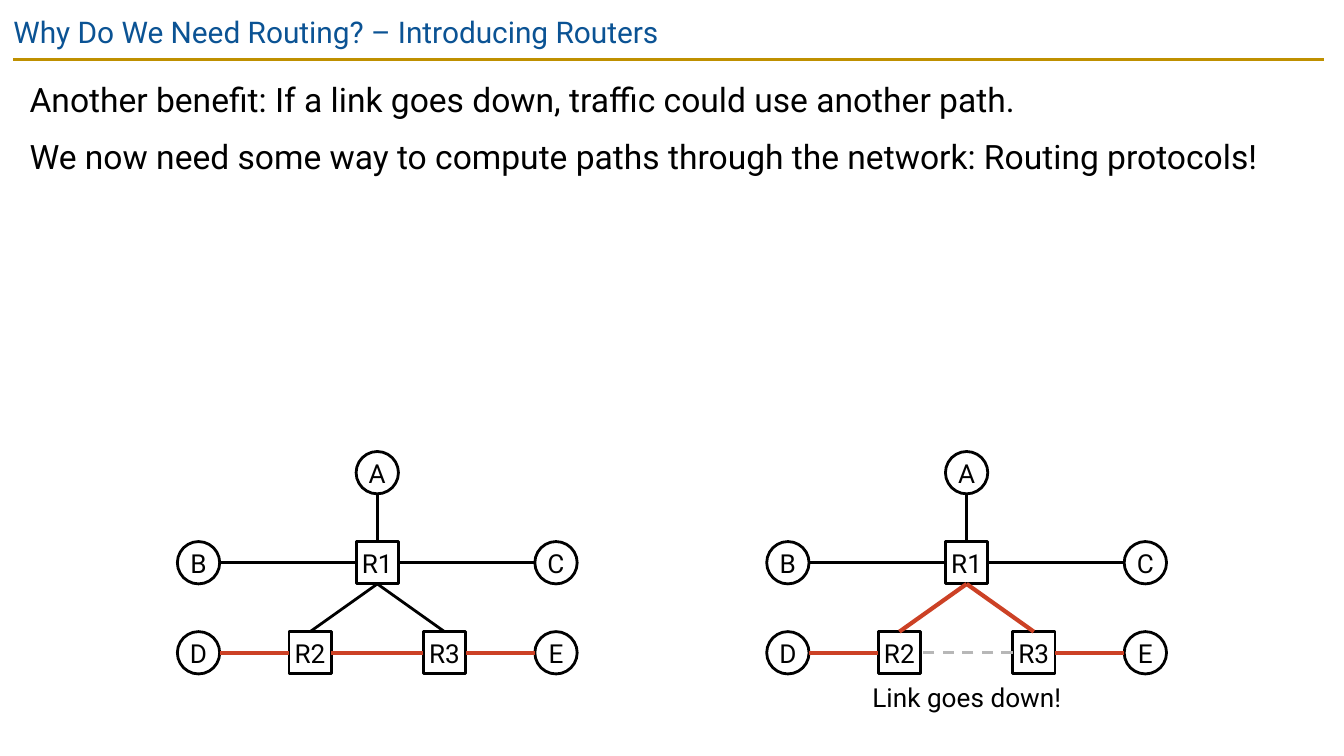
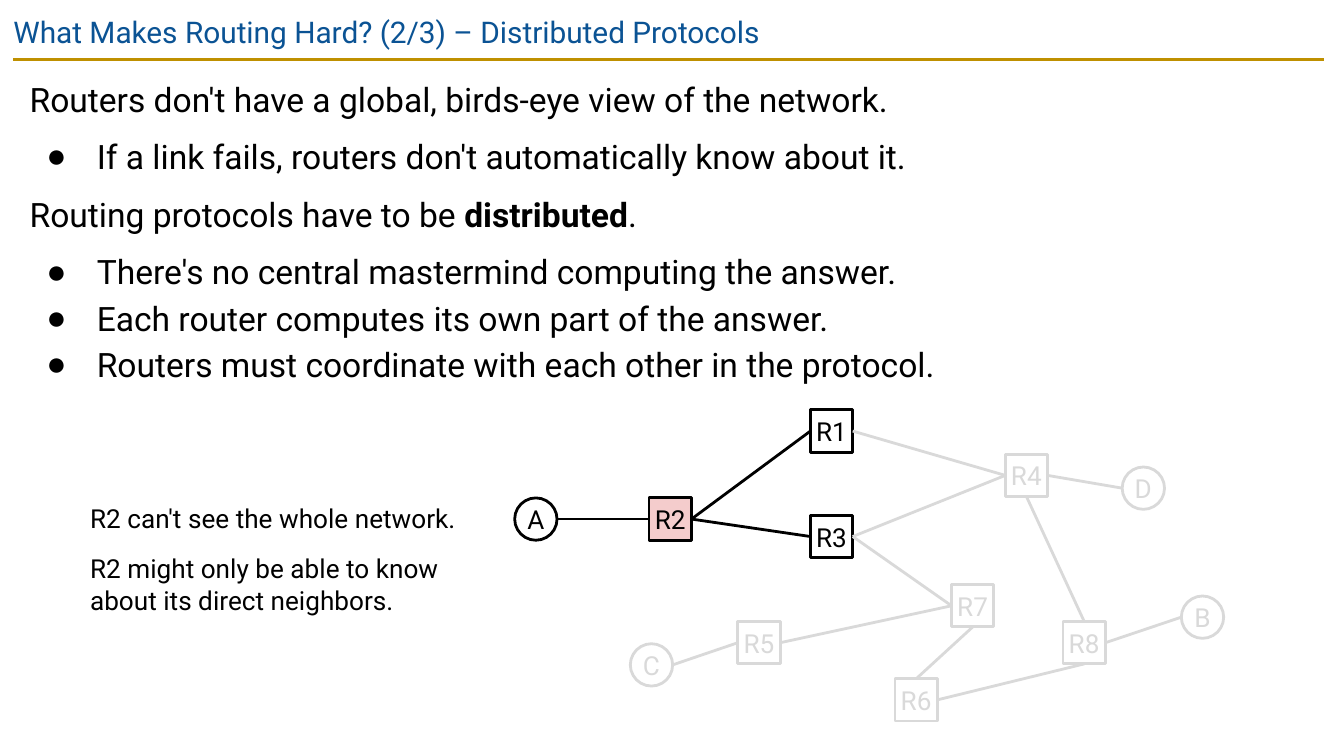
"""Build two slides on routing with network diagrams."""
from typing import NamedTuple

from lxml import etree
from pptx import Presentation
from pptx.dml.color import RGBColor
from pptx.enum.dml import MSO_LINE
from pptx.enum.shapes import MSO_CONNECTOR, MSO_SHAPE
from pptx.enum.text import MSO_ANCHOR, MSO_AUTO_SIZE, PP_ALIGN
from pptx.oxml.ns import qn
from pptx.util import Emu, Pt

STRAIGHT = MSO_CONNECTOR.STRAIGHT
CIRCLE, SQUARE = MSO_SHAPE.OVAL, MSO_SHAPE.RECTANGLE
ALIGN_LEFT, ALIGN_CENTER = PP_ALIGN.LEFT, PP_ALIGN.CENTER
ANCHOR_TOP, ANCHOR_MIDDLE = MSO_ANCHOR.TOP, MSO_ANCHOR.MIDDLE
NO_FIT, GROW = MSO_AUTO_SIZE.NONE, MSO_AUTO_SIZE.SHAPE_TO_FIT_TEXT
DASH = MSO_LINE.DASH

SCALE = 4572
FONT = "Roboto"
COLORS = {
    "black": "000000", "white": "FFFFFF", "title": "0B5394", "rule": "BF9000",
    "route": "CC4125", "down": "B7B7B7", "hidden": "D9D9D9", "focus": "F4CCCC",
}
NODE_SIZE = 63
TOP, LEFT, BOTTOM, RIGHT = range(4)
SIDES = {TOP: (0.5, 0), LEFT: (0, 0.5), BOTTOM: (0.5, 1), RIGHT: (1, 0.5)}


class Span(NamedTuple):
    text: str
    bold: bool = False


class Item(NamedTuple):
    spans: list[Span]
    bullet: bool = False
    before: int = 6


class Stroke(NamedTuple):
    color: str
    width: float = 1.5
    dash: bool = False


class Node(NamedTuple):
    name: str
    left: int
    top: int
    color: str = "black"
    fill: str = "white"

    @property
    def is_router(self) -> bool:
        return self.name.startswith("R")

    def side(self, side: int) -> tuple[float, float]:
        across, down = SIDES[side]
        return self.left + across * NODE_SIZE, self.top + down * NODE_SIZE


class Link(NamedTuple):
    start: str
    start_side: int
    end: str
    end_side: int
    role: str = "access"


PLAIN, ROUTE = Stroke("black"), Stroke("route", 2.25)
HIDDEN, BROKEN = Stroke("hidden"), Stroke("down", dash=True)

ROUTER_LINKS = [
    Link("R2", TOP, "R1", BOTTOM, "detour"),
    Link("R3", TOP, "R1", BOTTOM, "detour"),
    Link("R3", LEFT, "R2", RIGHT, "direct"),
    Link("A", BOTTOM, "R1", TOP),
    Link("C", LEFT, "R1", RIGHT),
    Link("R1", LEFT, "B", RIGHT),
    Link("E", LEFT, "R3", RIGHT, "ends"),
    Link("R2", LEFT, "D", RIGHT, "ends"),
]
ROUTES_BY_LEFT = {
    530: {"access": PLAIN, "detour": PLAIN, "direct": ROUTE, "ends": ROUTE},
    1407: {"access": PLAIN, "detour": ROUTE, "direct": BROKEN, "ends": ROUTE},
}

KNOWN_NODES = [
    Node("A", 766, 741),
    Node("R1", 1206, 610),
    Node("R2", 966, 741, fill="focus"),
    Node("R3", 1206, 767),
]
HIDDEN_NODES = [
    Node(name, left, top, "hidden")
    for name, left, top in [
        ("R4", 1496, 676), ("R5", 1098, 925), ("R6", 1332, 1010), ("R7", 1416, 870),
        ("R8", 1582, 925), ("B", 1758, 887), ("C", 938, 958), ("D", 1670, 695),
    ]
]
VIEW_LINKS = [
    Link("R1", RIGHT, "R4", LEFT, "hidden"),
    Link("R3", RIGHT, "R4", LEFT, "hidden"),
    Link("R3", RIGHT, "R7", LEFT, "hidden"),
    Link("R5", RIGHT, "R7", LEFT, "hidden"),
    Link("C", RIGHT, "R5", LEFT, "hidden"),
    Link("R7", BOTTOM, "R6", TOP, "hidden"),
    Link("R8", BOTTOM, "R6", RIGHT, "hidden"),
    Link("R4", BOTTOM, "R8", TOP, "hidden"),
    Link("B", LEFT, "R8", RIGHT, "hidden"),
    Link("D", LEFT, "R4", RIGHT, "hidden"),
    Link("A", RIGHT, "R2", LEFT),
    Link("R2", RIGHT, "R1", LEFT),
    Link("R2", RIGHT, "R3", LEFT),
]


def px(length: float) -> Emu:
    """Turn px into EMU."""
    return Emu(round(length * SCALE))


def rgb(name: str) -> RGBColor:
    """Look up a named colour."""
    return RGBColor.from_string(COLORS[name])


def set_font(para, size: int, color: str = "black") -> None:
    """Set the font of a whole paragraph."""
    para.font.name = FONT
    para.font.size = Pt(size)
    para.font.color.rgb = rgb(color)


def set_insets(frame, inset: int) -> None:
    """Set all four insets of a text frame."""
    frame.margin_left = frame.margin_right = px(inset)
    frame.margin_top = frame.margin_bottom = px(inset)


def place(shape, left: int, top: int, width: int, height: int) -> None:
    """Move and size a placeholder and fix its text frame."""
    shape.left, shape.top = px(left), px(top)
    shape.width, shape.height = px(width), px(height)
    frame = shape.text_frame
    set_insets(frame, 20)
    frame.vertical_anchor = ANCHOR_TOP
    frame.auto_size = NO_FIT


def set_bullet(para, bullet: bool) -> None:
    """Give a paragraph its indent and its bullet, or none."""
    props = para._p.get_or_add_pPr()
    props.set("marL", str(px(100 if bullet else 0)))
    props.set("indent", str(px(-75 if bullet else 0)))
    if bullet:
        color = etree.SubElement(props, qn("a:buClr"))
        etree.SubElement(color, qn("a:srgbClr"), val=COLORS["black"])
        etree.SubElement(props, qn("a:buChar"), char="●")
    else:
        etree.SubElement(props, qn("a:buNone"))


def add_line(page, start: tuple[float, float], end: tuple[float, float], stroke: Stroke):
    """Draw a straight line without shadow."""
    line = page.shapes.add_connector(STRAIGHT, *map(px, start + end))
    line.line.color.rgb = rgb(stroke.color)
    line.line.width = Pt(stroke.width)
    if stroke.dash:
        line.line.dash_style = DASH
    etree.SubElement(line._element.spPr, qn("a:effectLst"))
    return line


def add_node(page, node: Node):
    """Draw a router as a square or a host as a circle."""
    kind = SQUARE if node.is_router else CIRCLE
    shape = page.shapes.add_shape(
        kind, px(node.left), px(node.top), px(NODE_SIZE), px(NODE_SIZE))
    shape.shadow.inherit = False
    shape.fill.solid()
    shape.fill.fore_color.rgb = rgb(node.fill)
    shape.line.color.rgb = rgb(node.color)
    shape.line.width = Pt(1.5)
    frame = shape.text_frame
    set_insets(frame, 0)
    frame.vertical_anchor = ANCHOR_MIDDLE
    para = frame.paragraphs[0]
    para.text = node.name
    para.alignment = ALIGN_CENTER
    set_font(para, 14, node.color)
    return shape


def add_network(page, nodes: list[Node], links: list[Link], strokes: dict[str, Stroke]) -> None:
    """Draw nodes and join them with links."""
    by_name = {node.name: node for node in nodes}
    shapes = {node.name: add_node(page, node) for node in nodes}
    for link in links:
        start, end = by_name[link.start], by_name[link.end]
        line = add_line(page, start.side(link.start_side), end.side(link.end_side),
                        strokes[link.role])
        if start.is_router:
            line.begin_connect(shapes[link.start], link.start_side)
        if end.is_router:
            line.end_connect(shapes[link.end], link.end_side)


def add_label(page, left: int, top: int, width: int, height: int, texts: list[str],
              align=ALIGN_LEFT) -> None:
    """Add a small text box with one paragraph per text."""
    box = page.shapes.add_textbox(px(left), px(top), px(width), px(height))
    frame = box.text_frame
    frame.word_wrap = True
    frame.auto_size = GROW
    set_insets(frame, 0)
    for index, text in enumerate(texts):
        para = frame.add_paragraph() if index else frame.paragraphs[0]
        para.text = text
        para.alignment = align
        para.space_before = Pt(10 if index else 0)
        set_font(para, 14)


def add_page(deck, title: str, items: list[Item]):
    """Add a slide with its title, rule and body text."""
    page = deck.slides.add_slide(deck.slide_layouts[1])
    heading, body = page.placeholders
    place(heading, 0, 0, 2000, 86)
    para = heading.text_frame.paragraphs[0]
    para.text = title
    para.alignment = ALIGN_LEFT
    set_font(para, 16, "title")
    place(body, 24, 88, 1948, 514)
    for index, item in enumerate(items):
        frame = body.text_frame
        para = frame.add_paragraph() if index else frame.paragraphs[0]
        set_bullet(para, item.bullet)
        para.alignment = ALIGN_LEFT
        para.line_spacing = 1.15
        para.space_before = Pt(item.before if index else 0)
        set_font(para, 18)
        for span in item.spans:
            run = para.add_run()
            run.text = span.text
            if span.bold:
                run.font.bold = True
    add_line(page, (20, 89), (1970, 89), Stroke("rule"))
    return page


def add_router_page(deck) -> None:
    """Compare the network before and after a link goes down."""
    page = add_page(deck, "Why Do We Need Routing? – Introducing Routers", [
        Item([Span("Another benefit: If a link goes down, traffic could use another path.")]),
        Item([Span("We now need some way to compute paths through the network: "
                   "Routing protocols!")]),
    ])
    grid = [("A", 0, 0), ("B", -266, 1), ("R1", 0, 1), ("C", 266, 1),
            ("D", -266, 2), ("R2", -100, 2), ("R3", 100, 2), ("E", 266, 2)]
    for left, strokes in ROUTES_BY_LEFT.items():
        nodes = [Node(name, left + shift, 672 + 134 * row) for name, shift, row in grid]
        add_network(page, nodes, ROUTER_LINKS, strokes)
    add_label(page, 1292, 1014, 294, 48, ["Link goes down!"], ALIGN_CENTER)


def add_distributed_page(deck) -> None:
    """Show the part of the network that one router sees."""
    page = add_page(deck, "What Makes Routing Hard? (2/3) – Distributed Protocols", [
        Item([Span("Routers don't have a global, birds-eye view of the network.")]),
        Item([Span("If a link fails, routers don't automatically know about it.")], True),
        Item([Span("Routing protocols have to be "), Span("distributed", True), Span(".")]),
        Item([Span("There's no central mastermind computing the answer.")], True),
        Item([Span("Each router computes its own part of the answer.")], True, 0),
        Item([Span("Routers must coordinate with each other in the protocol.")], True, 0),
    ])
    add_network(page, HIDDEN_NODES + KNOWN_NODES, VIEW_LINKS,
                {"access": PLAIN, "hidden": HIDDEN})
    add_label(page, 134, 748, 558, 170, [
        "R2 can't see the whole network.",
        "R2 might only be able to know about its direct neighbors.",
    ])


def main() -> None:
    """Build and save the deck."""
    deck = Presentation()
    deck.slide_width, deck.slide_height = px(2000), px(1125)
    add_router_page(deck)
    add_distributed_page(deck)
    deck.save("out.pptx")


if __name__ == "__main__":
    main()
